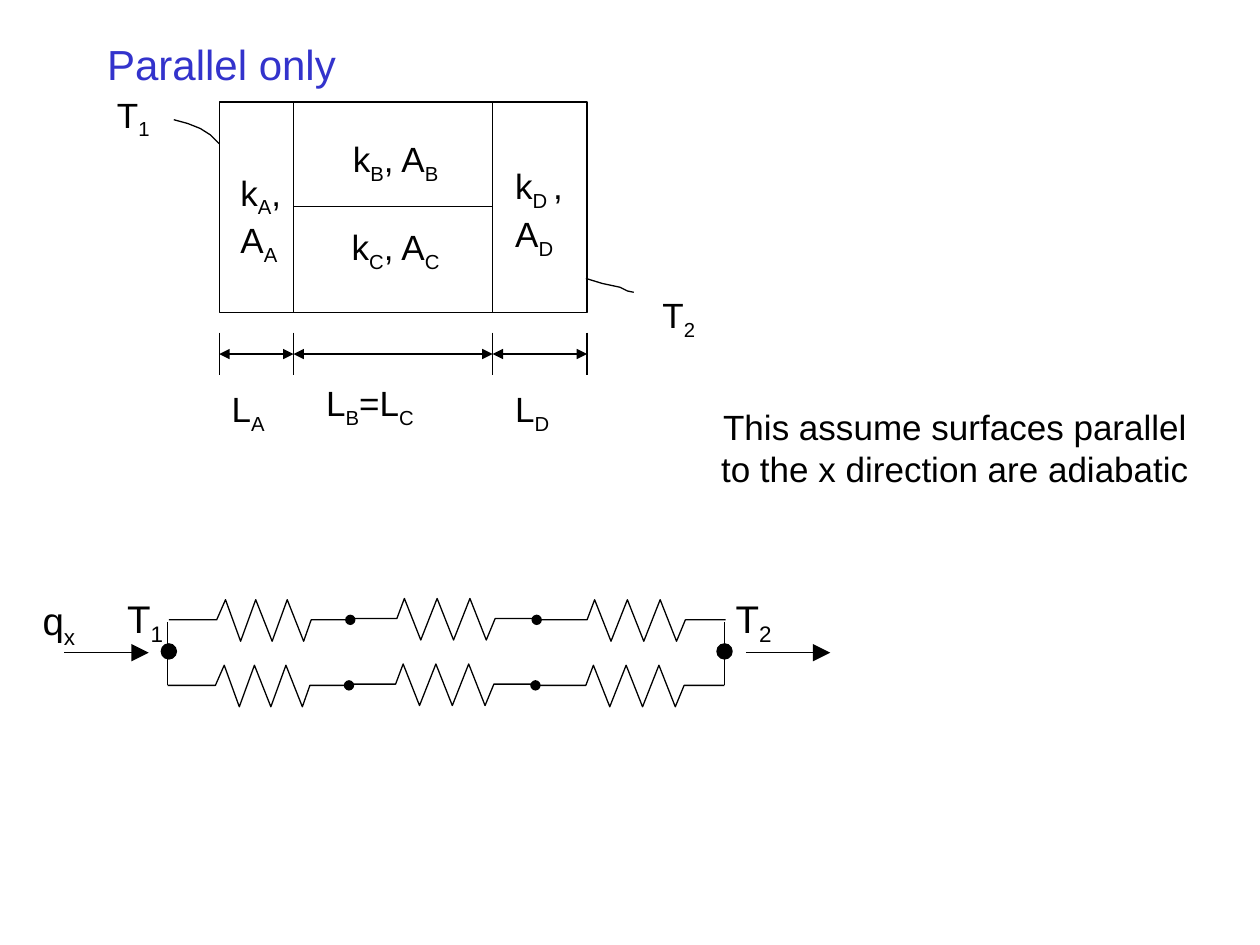
"""Composite wall with its parallel thermal circuit."""
from lxml.etree import SubElement
from pptx import Presentation
from pptx.dml.color import RGBColor
from pptx.enum.shapes import MSO_CONNECTOR as Link, MSO_SHAPE as Form
from pptx.enum.text import MSO_ANCHOR as Anchor, MSO_AUTO_SIZE as Fit, PP_ALIGN as Align
from pptx.oxml.ns import qn
from pptx.util import Pt

PX = 9144
hue = RGBColor.from_string
BLACK = "000000"

deck = Presentation()
deck.slide_width, deck.slide_height = 1000 * PX, 750 * PX
slide = deck.slides.add_slide(deck.slide_layouts[5])
shapes = slide.shapes


def ink(item, head=None, tail=None, size="med"):
    """Draw a thin black line with optional end marks."""
    item.line.color.rgb = hue(BLACK)
    item.line.width = Pt(0.75)
    line = item.line._get_or_add_ln()
    for tag, kind in (("a:headEnd", head), ("a:tailEnd", tail)):
        if kind:
            SubElement(line, qn(tag), type=kind, w=size, len=size)


def trace(spots, head=None, tail=None):
    """Draw an open outline through the given points."""
    pen = shapes.build_freeform(*spots[0], scale=PX)
    pen.add_line_segments(spots[1:], close=False)
    item = pen.convert_to_shape()
    item.shadow.inherit = False
    item.fill.background()
    ink(item, head, tail)


title = shapes.title
title.left, title.top, title.width, title.height = 75 * PX, 17 * PX, 850 * PX, 67 * PX
title.text_frame.text = "Parallel only"
title.text_frame.vertical_anchor = Anchor.MIDDLE
para = title.text_frame.paragraphs[0]
para.alignment = Align.LEFT
font = para.runs[0].font
font.name, font.size, font.color.rgb = "Arial", Pt(24), hue("3333CC")

edges = [174, 233, 391, 466]
walls = [
    (edges[0], 81, edges[1], 248),
    (edges[1], 81, edges[2], 164),
    (edges[1], 164, edges[2], 248),
    (edges[2], 81, edges[3], 248),
]
for x, y, right, low in walls:
    wall = shapes.add_shape(Form.RECTANGLE, x * PX, y * PX, (right - x) * PX, (low - y) * PX)
    wall.shadow.inherit = False
    wall.fill.background()
    ink(wall)

lines = [(x, 264, x, 298, None, None, "med") for x in edges]
lines += [(a, 281, b, 281, "triangle", "triangle", "med") for a, b in zip(edges, edges[1:])]
lines += [(x, 518, x + 67, 518, None, "triangle", "lg") for x in (51, 592)]
lines += [(x, 494, x, 544, None, None, "med") for x in (133, 575)]
for x, y, right, low, head, tail, size in lines:
    link = shapes.add_connector(Link.STRAIGHT, x * PX, y * PX, right * PX, low * PX)
    ink(link, head, tail, size)
    SubElement(link._element.spPr, qn("a:effectLst"))

trace([(465, 221), (478, 225), (492, 228), (498, 231), (503, 232)])
trace([(138, 95), (149, 98), (159, 102), (167, 107), (174, 114)])

steps = [0.265, 0.31, 0.395, 0.48, 0.57, 0.655, 0.74, 0.785, 1]
rises = [0, -16, 17, -16, 17, -16, 17, 0, 0]
parts = [(0, 144, 0, None, "oval"), (141, 150, -1, None, None), (292, 150, 0, "oval", None)]
for left, mid in ((133, 544), (134, 492)):
    for gap, width, lift, head, tail in parts:
        x, y = left + gap, mid + lift
        zigzag = [(x + round(s * width), y + r) for s, r in zip(steps, rises)]
        trace([(x, y)] + zigzag, head, tail)

for x in (128, 569):
    node = shapes.add_shape(Form.OVAL, x * PX, 511 * PX, 12 * PX, 12 * PX)
    node.shadow.inherit = False
    node.fill.solid()
    node.fill.fore_color.rgb = hue(BLACK)
    ink(node)

note = "This assume surfaces parallel to the x direction are adiabatic"
labels = [
    (181, 131, 54, 77, 20, False, Align.LEFT, "k_A_,\nA_A"),
    (268, 104, 92, 43, 20, False, Align.CENTER, "k_B_, A_B"),
    (260, 174, 108, 43, 20, True, Align.CENTER, "k_C_, A_C"),
    (399, 126, 60, 77, 20, False, Align.LEFT, "k_D _,\nA_D"),
    (174, 303, 48, 43, 20, False, Align.LEFT, "L_A"),
    (399, 303, 49, 43, 20, False, Align.LEFT, "L_D"),
    (249, 298, 125, 43, 20, True, Align.LEFT, "L_B_=L_C"),
    (516, 228, 47, 43, 20, False, Align.LEFT, "T_2"),
    (83, 69, 47, 43, 20, False, Align.LEFT, "T_1"),
    (91, 467, 51, 47, 22, False, Align.LEFT, "T_1"),
    (574, 467, 51, 47, 22, False, Align.LEFT, "T_2"),
    (24, 469, 60, 47, 22, True, Align.LEFT, "q_x"),
    (550, 317, 416, 77, 20, True, Align.CENTER, note),
]
for x, y, width, height, size, wrap, align, text in labels:
    frame = shapes.add_textbox(x * PX, y * PX, width * PX, height * PX).text_frame
    frame.word_wrap = wrap
    frame.auto_size = Fit.SHAPE_TO_FIT_TEXT
    frame.text = text
    for para in frame.paragraphs:
        bits = para.text.split("_")
        para.text = bits[0]
        para.alignment = align
        for bit in bits[1:]:
            para.add_run().text = bit
        for i, run in enumerate(para.runs):
            font = run.font
            font.name, font.size, font.color.rgb = "Arial", Pt(size), hue(BLACK)
            if i % 2:
                run._r.get_or_add_rPr().set("baseline", "-25000")

deck.save("out.pptx")
